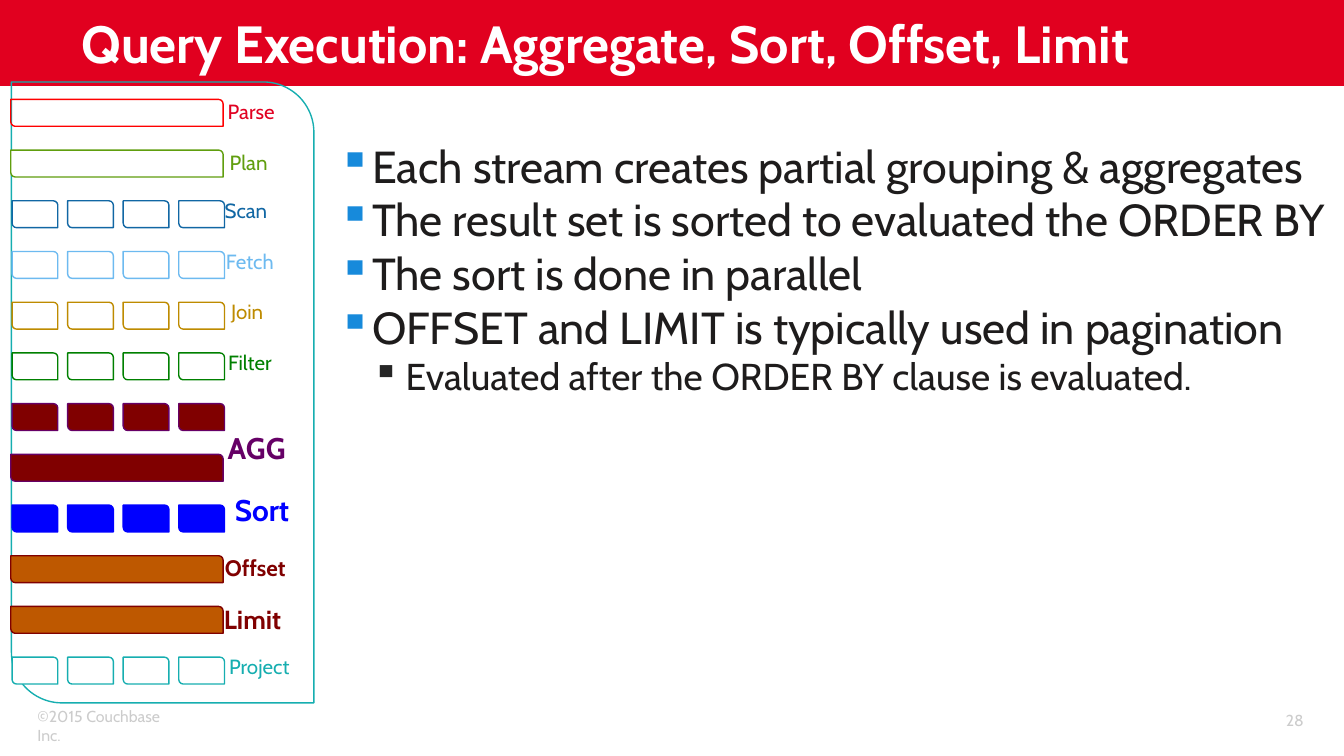
from dataclasses import dataclass
from typing import Optional

from lxml.etree import SubElement
from pptx import Presentation
from pptx.dml.color import RGBColor
from pptx.enum.shapes import MSO_SHAPE as Preset
from pptx.enum.text import MSO_ANCHOR as Anchor, PP_ALIGN as Align
from pptx.oxml.ns import qn
from pptx.util import Inches, Pt


@dataclass(frozen=True)
class Theme:
    font: str = "Cabin"
    bullet_font: str = "OpenSymbol"
    banner: str = "E1001F"
    white: str = "FFFFFF"
    ink: str = "1E1C1C"
    muted: str = "CCCCCC"
    bullet: str = "178ADB"
    sub_bullet: str = "262626"
    teal: str = "16AEB0"
    maroon: str = "800000"
    purple: str = "660066"
    blue: str = "0000FF"
    brown: str = "BE5800"
    title_size: float = 28
    body_size: float = 24
    sub_size: float = 20
    label_size: float = 11
    footer_size: float = 8.5
    line_width: float = 0.75


THEME = Theme()
WIDTH = 10
HEIGHT = WIDTH * 9 / 16

# Pipeline grid: one row per stage, four columns for parallel streams
FIRST_ROW, LAST_ROW = 0.84, 4.99
FIRST_COLUMN, LAST_COLUMN, STREAMS = 0.26, 1.5, 4
COLUMN_STEP = (LAST_COLUMN - FIRST_COLUMN) / (STREAMS - 1)
PILL_LENGTH, PILL_HEIGHT = 0.34, 0.2
BAR_CENTER, BAR_LENGTH = 0.87, 1.58
LABEL_WIDTH, LABEL_HEIGHT = 0.66, 0.33


@dataclass(frozen=True)
class Label:
    text: str
    left: float
    rise: float  # distance from the row's centre up to the label's top
    color: str
    size: float = THEME.label_size
    bold: bool = False


@dataclass(frozen=True)
class Stage:
    parallel: bool
    line: str
    fill: Optional[str] = THEME.white
    label: Optional[Label] = None


@dataclass(frozen=True)
class Point:
    text: str
    level: int = 0


STAGES = (
    Stage(False, "FF0000", None, Label("Parse", 1.54, 0.15, "E10021")),
    Stage(False, "609E0E", label=Label("Plan", 1.52, 0.15, "609E0E")),
    Stage(True, "1167A4", label=Label("Scan", 1.5, 0.17, "1167A4")),
    Stage(True, "6DBAF0", label=Label("Fetch", 1.53, 0.17, "6DBAF0")),
    Stage(True, "BE8B00", label=Label("Join", 1.51, 0.17, "BE8B00")),
    Stage(True, "008000", label=Label("Filter", 1.53, 0.17, "008000")),
    Stage(True, THEME.purple, THEME.maroon),
    Stage(False, THEME.purple, THEME.maroon,
          Label("AGG", 1.58, 0.33, THEME.purple, 16, True)),
    Stage(True, THEME.blue, THEME.blue,
          Label("Sort", 1.62, 0.25, THEME.blue, 16, True)),
    Stage(False, THEME.maroon, THEME.brown,
          Label("Offset", 1.57, 0.16, THEME.maroon, 12, True)),
    Stage(False, THEME.maroon, THEME.brown,
          Label("Limit", 1.55, 0.17, THEME.maroon, 14, True)),
    Stage(True, THEME.teal, label=Label("Project", 1.6, 0.17, THEME.teal)),
)
ROW_STEP = (LAST_ROW - FIRST_ROW) / (len(STAGES) - 1)

POINTS = (
    Point("Each stream creates partial grouping & aggregates"),
    Point("The result set is sorted to evaluated the ORDER BY"),
    Point("The sort is done in parallel"),
    Point("OFFSET and LIMIT is typically used in pagination"),
    Point("Evaluated after the ORDER BY clause is evaluated.", 1),
)


def add_box(page, left: float, top: float, width: float, height: float, anchor=Anchor.TOP):
    box = page.shapes.add_textbox(Inches(left), Inches(top), Inches(width), Inches(height))
    box.text_frame.word_wrap = True
    box.text_frame.vertical_anchor = anchor
    return box.text_frame


def add_span(para, text: str, size: float, color: str, bold: bool = False) -> None:
    span = para.add_run()
    span.text = text
    span.font.name = THEME.font
    span.font.size = Pt(size)
    span.font.bold = bold
    span.font.color.rgb = RGBColor.from_string(color)


def add_pill(page, center_x: float, center_y: float, length: float, height: float,
             line: str, fill: Optional[str]) -> None:
    """Draw a horizontal pill: an upright shape turned by a quarter."""
    pill = page.shapes.add_shape(
        Preset.ROUND_2_DIAG_RECTANGLE,
        Inches(center_x - height / 2), Inches(center_y - length / 2),
        Inches(height), Inches(length))
    pill.rotation = 90
    pill.shadow.inherit = False
    pill.line.color.rgb = RGBColor.from_string(line)
    pill.line.width = Pt(THEME.line_width)
    if fill:
        pill.fill.solid()
        pill.fill.fore_color.rgb = RGBColor.from_string(fill)
    else:
        pill.fill.background()


def add_stage(page, row: int, stage: Stage) -> None:
    center_y = FIRST_ROW + row * ROW_STEP
    if stage.parallel:
        centers = [FIRST_COLUMN + column * COLUMN_STEP for column in range(STREAMS)]
        length = PILL_LENGTH
    else:
        centers, length = [BAR_CENTER], BAR_LENGTH
    for center_x in centers:
        add_pill(page, center_x, center_y, length, PILL_HEIGHT, stage.line, stage.fill)
    label = stage.label
    if label:
        frame = add_box(page, label.left, center_y - label.rise, LABEL_WIDTH, LABEL_HEIGHT)
        para = frame.paragraphs[0]
        para.alignment = Align.CENTER
        add_span(para, label.text, label.size, label.color, label.bold)


def add_point(para, point: Point) -> None:
    color, size = ((THEME.sub_bullet, THEME.sub_size) if point.level
                   else (THEME.bullet, THEME.body_size))
    para.level = point.level
    props = para._p.get_or_add_pPr()
    props.set("marL", str(Inches(0.25 * (point.level + 1))))
    props.set("indent", str(Inches(-0.25)))
    SubElement(SubElement(props, qn("a:buClr")), qn("a:srgbClr")).set("val", color)
    SubElement(props, qn("a:buFont")).set("typeface", THEME.bullet_font)
    SubElement(props, qn("a:buChar")).set("char", "▪")
    add_span(para, point.text, size, THEME.ink)


def main() -> None:
    deck = Presentation()
    deck.slide_width, deck.slide_height = Inches(WIDTH), Inches(HEIGHT)
    page = deck.slides.add_slide(deck.slide_layouts[6])

    # Banner and title
    banner = page.shapes.add_shape(Preset.RECTANGLE, 0, 0, deck.slide_width, Inches(0.64))
    banner.shadow.inherit = False
    banner.fill.solid()
    banner.fill.fore_color.rgb = RGBColor.from_string(THEME.banner)
    banner.line.fill.background()
    title = add_box(page, 0.51, 0.01, 8.75, 0.59, Anchor.BOTTOM).paragraphs[0]
    title.line_spacing = 0.8
    add_span(title, "Query Execution: Aggregate, Sort, Offset, Limit",
             THEME.title_size, THEME.white, True)

    # Footer
    footer = add_box(page, 0.18, 5.21, 1.29, 0.24).paragraphs[0]
    add_span(footer, "©2015 Couchbase Inc.", THEME.footer_size, THEME.muted)
    number = add_box(page, 8.99, 5.21, 0.81, 0.3, Anchor.MIDDLE).paragraphs[0]
    number.alignment = Align.RIGHT
    add_span(number, "28", THEME.footer_size, THEME.muted)

    # Bullet points
    body = add_box(page, 2.42, 0.98, 7.58, 2.21)
    for index, point in enumerate(POINTS):
        add_point(body.add_paragraph() if index else body.paragraphs[0], point)

    # Execution pipeline inside its frame
    add_pill(page, 1.21, 2.92, 2.25, 4.62, THEME.teal, None)
    for row, stage in enumerate(STAGES):
        add_stage(page, row, stage)

    deck.save("out.pptx")


if __name__ == "__main__":
    main()
